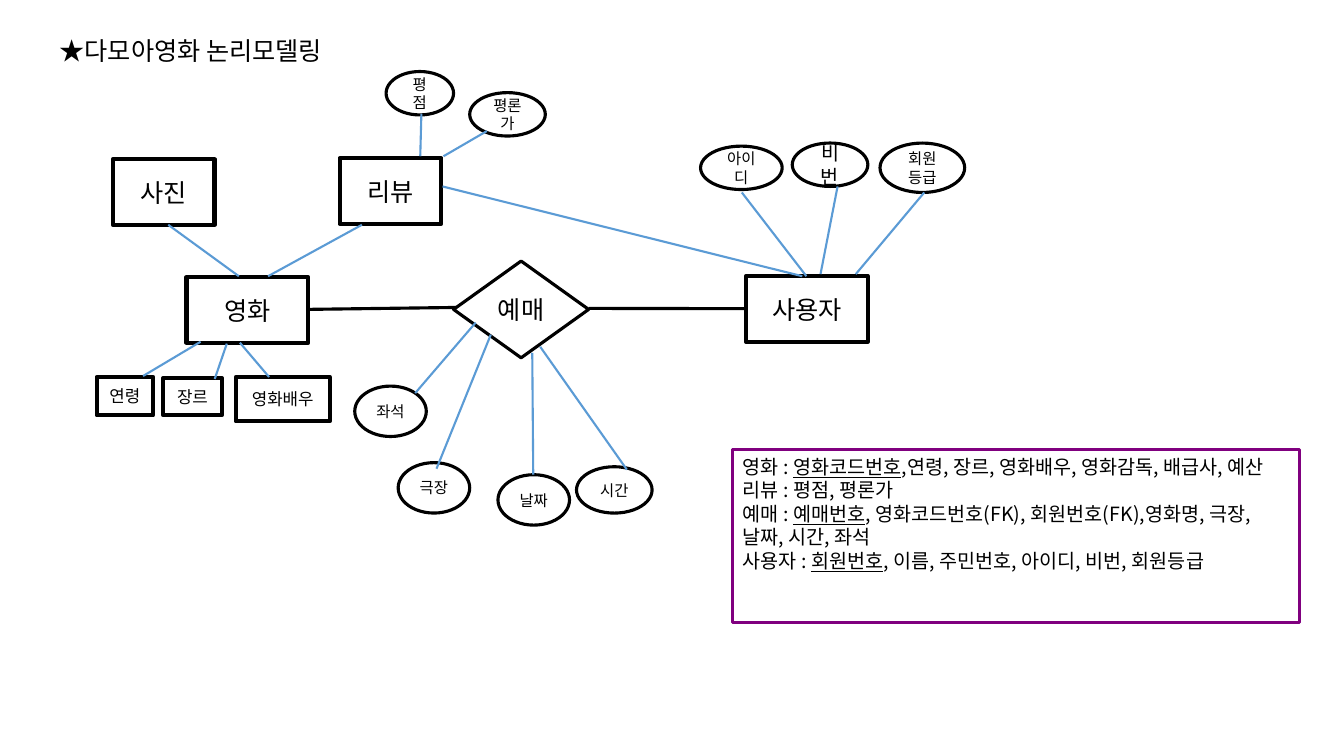
from lxml import etree
from pptx import Presentation
from pptx.dml.color import RGBColor
from pptx.enum import shapes, text
from pptx.oxml.ns import qn
from pptx.util import Pt

RECT = shapes.MSO_SHAPE.RECTANGLE
OVAL = shapes.MSO_SHAPE.OVAL
DIAMOND = shapes.MSO_SHAPE.FLOWCHART_DECISION


class Theme:
    font = "Noto Sans CJK KR"
    ink = RGBColor(0x00, 0x00, 0x00)
    paper = RGBColor(0xFF, 0xFF, 0xFF)
    link = RGBColor(0x5B, 0x9B, 0xD5)
    frame = RGBColor(0x80, 0x00, 0x7F)
    big, body, label, small = 18, 14, 12, 11
    heavy, medium, thin = 3, 2.25, 1.5


class Diagram:
    def __init__(self, prs, theme):
        self.t = theme
        self.s = prs.slides.add_slide(prs.slide_layouts[6])

    def run(self, p, words, size, underline=False):
        r = p.add_run()
        r.text = words
        f = r.font
        f.name, f.size, f.color.rgb = self.t.font, Pt(size), self.t.ink
        if underline:
            f.underline = True
        ea = etree.SubElement(r._r.get_or_add_rPr(), qn("a:ea"))
        ea.set("typeface", self.t.font)

    def box(self, kind, at, color, width):
        sp = self.s.shapes.add_shape(kind, *map(Pt, at))
        sp.shadow.inherit = False
        sp.fill.solid()
        sp.fill.fore_color.rgb = self.t.paper
        sp.line.color.rgb, sp.line.width = color, Pt(width)
        sp.text_frame.word_wrap = True
        return sp.text_frame

    def node(self, kind, name, at, size):
        width = self.t.heavy if kind == RECT else self.t.medium
        tf = self.box(kind, at, self.t.ink, width)
        tf.vertical_anchor = text.MSO_ANCHOR.MIDDLE
        p = tf.paragraphs[0]
        p.alignment = text.PP_ALIGN.CENTER
        self.run(p, name, size)

    def line(self, ends, color, width):
        c = self.s.shapes.add_connector(shapes.MSO_CONNECTOR.STRAIGHT, *map(Pt, ends))
        c.line.color.rgb, c.line.width = color, Pt(width)
        etree.SubElement(c._element.spPr, qn("a:effectLst"))

    def title(self, words, at):
        tf = self.s.shapes.add_textbox(*map(Pt, at)).text_frame
        tf.word_wrap = True
        tf.margin_left = tf.margin_top = tf.margin_right = tf.margin_bottom = 0
        self.run(tf.paragraphs[0], words, self.t.big)

    def schema(self, rows, at):
        """Framed list of tables; each row is (table, key column, other columns)."""
        tf = self.box(RECT, at, self.t.frame, self.t.medium)
        tf.vertical_anchor = text.MSO_ANCHOR.TOP
        for i, (table, key, columns) in enumerate(rows):
            p = tf.add_paragraph() if i else tf.paragraphs[0]
            p.alignment = text.PP_ALIGN.LEFT
            self.run(p, table + " : ", self.t.body)
            if key:
                self.run(p, key, self.t.body, underline=True)
            self.run(p, columns, self.t.body)


NODES = [
    (RECT, Theme.big, [
        ("영화", (133.2, 198, 87, 46.8)),
        ("사용자", (532.8, 197.3, 87, 46.8)),
        ("사진", (80.6, 113.8, 72.7, 46.8)),
        ("리뷰", (242.6, 113, 72.7, 46.8))]),
    (RECT, Theme.label, [
        ("연령", (69.1, 269.3, 40.3, 27.4)),
        ("장르", (116.6, 270, 41.8, 26.6)),
        ("영화배우", (168.5, 269.3, 67, 31.7))]),
    (DIAMOND, Theme.big, [("예매", (324, 186.5, 96.5, 69.1))]),
    (OVAL, Theme.small, [
        ("좌석", (253.4, 275.8, 51.1, 36)),
        ("극장", (284.4, 330.5, 51.1, 36)),
        ("날짜", (355.7, 339.1, 51.1, 36)),
        ("시간", (411.8, 333.4, 54, 33.1)),
        ("평점", (275.8, 51.1, 48.2, 31)),
        ("평론가", (335.5, 66.2, 54, 31)),
        ("아이디", (500.4, 104.4, 58.3, 31)),
        ("회원등급", (628.6, 102.2, 60.5, 35.3))]),
    (OVAL, Theme.body, [("비번", (565.9, 102.2, 54, 31))]),
]
RELATIONS = [(219.6, 221, 326.9, 219.6), (420.5, 220.3, 534.2, 220.5)]
LINKS = [
    # 영화
    (120.2, 160.6, 170.6, 197.3), (258.5, 160.6, 191.5, 197.3),
    (143.3, 244.1, 102.2, 268.6), (162, 245.5, 153.4, 270.7),
    (171.4, 244.8, 192.2, 269.3),
    # 리뷰
    (301, 81.4, 300.2, 111.6), (347.8, 93.6, 316.8, 111.6),
    (316.1, 133.2, 573.1, 197.3),
    # 예매
    (339.8, 230.4, 296.6, 280.8), (350.6, 239, 311.8, 334.8),
    (380.2, 252, 380.9, 339.1), (385.9, 247.7, 447.8, 335.5),
    # 사용자
    (529.9, 137.5, 576, 197.3), (598.3, 133.2, 586.1, 195.8),
    (660.2, 137.5, 611.3, 195.8),
]
SCHEMA = [
    ("영화", "영화코드번호", ",연령, 장르, 영화배우, 영화감독, 배급사, 예산"),
    ("리뷰", "", "평점, 평론가"),
    ("예매", "예매번호", ", 영화코드번호(FK), 회원번호(FK),영화명, 극장, 날짜, 시간, 좌석"),
    ("사용자", "회원번호", ", 이름, 주민번호, 아이디, 비번, 회원등급"),
]


def main():
    prs = Presentation()
    prs.slide_width, prs.slide_height = Pt(960), Pt(540)
    d = Diagram(prs, Theme)
    d.title("★다모아영화 논리모델링", (42.5, 25.2, 241.2, 21.6))
    for ends in RELATIONS:
        d.line(ends, Theme.ink, Theme.medium)
    for kind, size, group in NODES:
        for name, at in group:
            d.node(kind, name, at, size)
    for ends in LINKS:
        d.line(ends, Theme.link, Theme.thin)
    d.schema(SCHEMA, (523.4, 321.1, 404.6, 123.8))
    prs.save("out.pptx")


if __name__ == "__main__":
    main()
